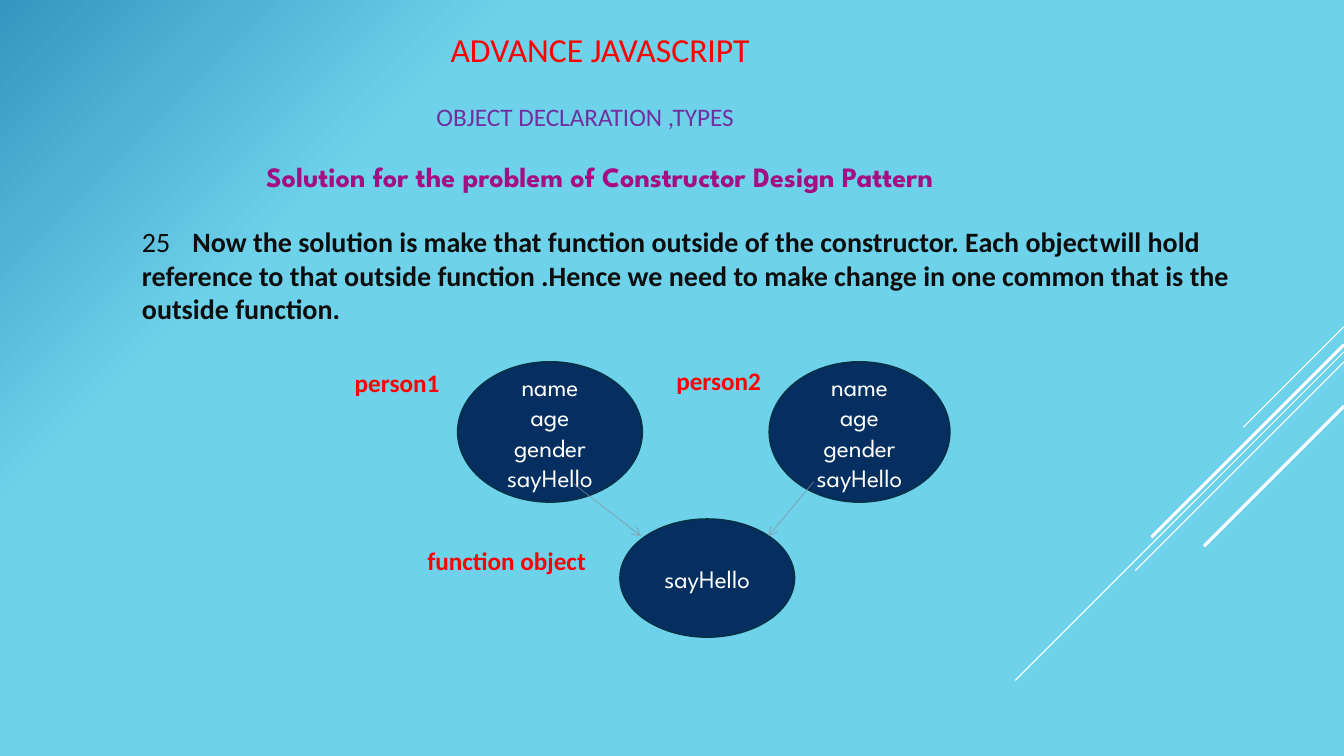
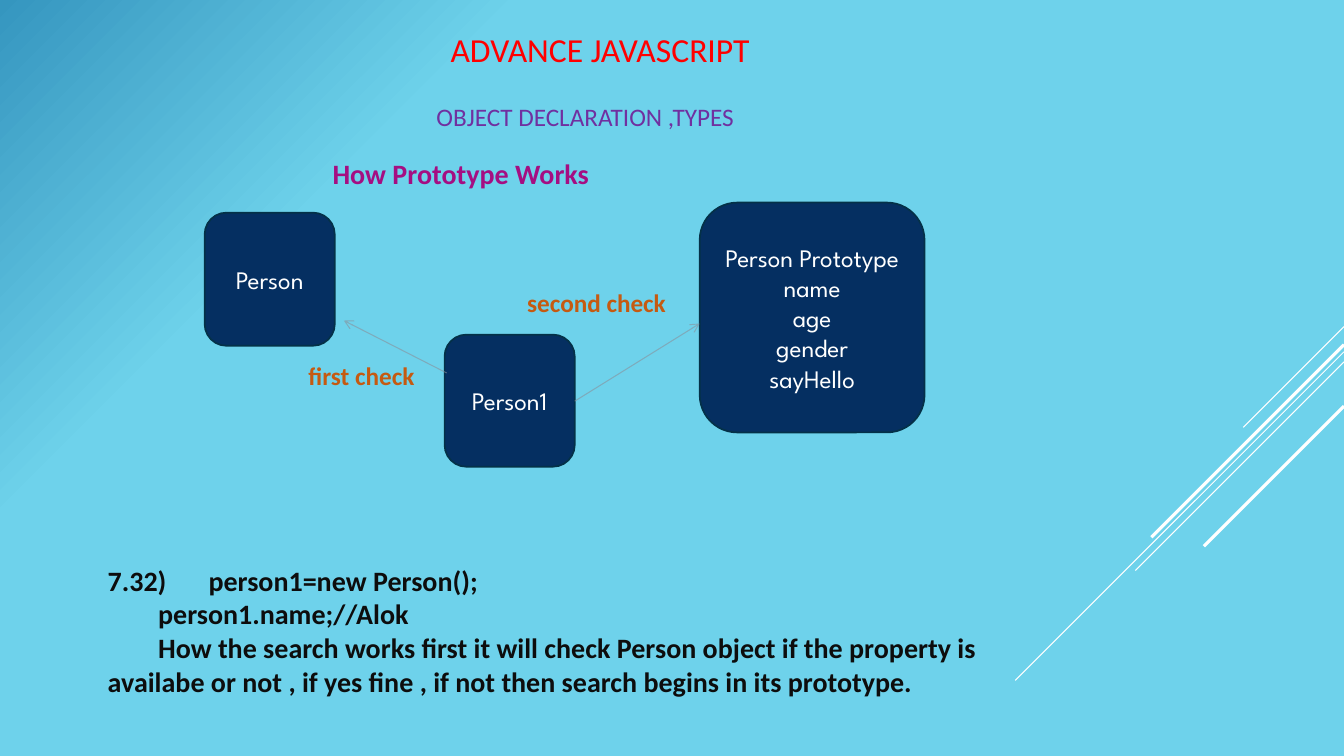
"""Build two slides on JavaScript objects: shared functions and prototypes."""
import pptx
import pptx.util
import pptx.oxml
import pptx.oxml.ns
import pptx.dml.color
import pptx.enum.shapes
import pptx.enum.text
from lxml import etree

Inches = pptx.util.Inches
Shape = pptx.enum.shapes.MSO_SHAPE
qn = pptx.oxml.ns.qn

WIDTH, HEIGHT = 13.33, 7.5
BODY_FONT, DISPLAY_FONT = "Calibri", "League Spartan"
WHITE, INK, NAVY, NAVY_EDGE = "FFFFFF", "0D0D0D", "052F61", "043148"
RED, PURPLE, MAGENTA, ORANGE, GREY = "FF0000", "7030A0", "A50E82", "C55A11", "89919C"
BACKGROUND_STOPS = [(75, "6ED2EB"), (100, "3596BF"), (100, "06588E")]
DIAGONALS = [(3.24, 1, 0.75), (3.49, 3.26, 0.75), (3.59, 2.07, 0.75),
             (3.42, 1.91, 2.25), (4.03, 1.39, 2.25)]


def color(value):
    """Return the colour for a hex string."""
    return pptx.dml.color.RGBColor.from_string(value)


def set_background(master):
    """Give the master a gradient that spreads from the lower right corner."""
    master.background.fill.gradient()
    gradient = next(master.element.iter(qn("a:gradFill")))
    for child in list(gradient):
        gradient.remove(child)
    stops = etree.SubElement(gradient, qn("a:gsLst"))
    for position, value in BACKGROUND_STOPS:
        stop = etree.SubElement(stops, qn("a:gs"), pos=str(position * 1000))
        etree.SubElement(stop, qn("a:srgbClr"), val=value)
    circle = etree.SubElement(gradient, qn("a:path"), path="circle")
    etree.SubElement(circle, qn("a:fillToRect"), l="100000", t="100000")


def format_run(run, size, value, font=BODY_FONT, bold=False):
    """Set the font of one run."""
    run.font.size = pptx.util.Pt(size)
    run.font.name = font
    run.font.bold = bold
    run.font.color.rgb = color(value)


def set_indent(paragraph, left=0, first=0):
    """Set the left margin and first-line indent in inches."""
    properties = paragraph._p.get_or_add_pPr()
    properties.set("marL", str(Inches(left)))
    properties.set("indent", str(Inches(first)))


def add_text(slide, box, text, size, value, font=BODY_FONT, bold=False, left=0):
    """Add a wrapped text box and return its text frame."""
    text_frame = slide.shapes.add_textbox(*map(Inches, box)).text_frame
    text_frame.word_wrap = True
    text_frame.auto_size = pptx.enum.text.MSO_AUTO_SIZE.SHAPE_TO_FIT_TEXT
    text_frame.text = text
    for paragraph in text_frame.paragraphs:
        set_indent(paragraph, left)
        for run in paragraph.runs:
            format_run(run, size, value, font, bold)
    return text_frame


def add_label(slide, box, text, value):
    """Add a bold diagram label."""
    add_text(slide, box, text, 18, value, bold=True)


def add_node(slide, kind, box, text):
    """Add a navy diagram node with centred text."""
    node = slide.shapes.add_shape(kind, *map(Inches, box))
    node.shadow.inherit = False
    node.fill.solid()
    node.fill.fore_color.rgb = color(NAVY)
    node.line.color.rgb = color(NAVY_EDGE)
    node.line.width = pptx.util.Pt(1.25)
    node.text_frame.text = text
    for paragraph in node.text_frame.paragraphs:
        paragraph.alignment = pptx.enum.text.PP_ALIGN.CENTER
        for run in paragraph.runs:
            format_run(run, 18, WHITE, DISPLAY_FONT)


def add_line(slide, start, end, value, width):
    """Add a straight line without a shadow."""
    line = slide.shapes.add_connector(
        pptx.enum.shapes.MSO_CONNECTOR.STRAIGHT, *map(Inches, start + end))
    line.line.color.rgb = color(value)
    line.line.width = pptx.util.Pt(width)
    etree.SubElement(line._element.spPr, qn("a:effectLst"))
    return line


def add_arrow(slide, start, end):
    """Add a translucent grey arrow."""
    outline = add_line(slide, start, end, GREY, 0.75).line._get_or_add_ln()
    etree.SubElement(next(outline.iter(qn("a:srgbClr"))), qn("a:alpha"), val="60000")
    etree.SubElement(outline, qn("a:tailEnd"), type="arrow")


def add_base_slide(presentation):
    """Add a slide with the shared titles and corner diagonals."""
    slide = presentation.slides.add_slide(presentation.slide_layouts[6])
    for top, run, width in DIAGONALS:
        add_line(slide, (WIDTH, top), (WIDTH - run, top + run), WHITE, width)
    add_text(slide, (4.37, 0.24, 3.25, 0.5), "ADVANCE JAVASCRIPT", 24, RED)
    add_text(slide, (3.73, 0.96, 3.89, 0.4), "OBJECT DECLARATION ,TYPES", 18, PURPLE, left=0.5)
    return slide


def build_solution_slide(presentation):
    """Show two objects that share one outside function."""
    slide = add_base_slide(presentation)
    add_text(slide, (1.97, 1.53, 8.18, 0.44),
             "Solution for the problem of Constructor Design Pattern",
             20, MAGENTA, DISPLAY_FONT, True, 0.57)
    text_frame = add_text(slide, (1.31, 2.18, 11.43, 1.1), "25\t", 20, INK)
    explanation = text_frame.paragraphs[0].add_run()
    explanation.text = (
        "Now the solution is make that function outside of the constructor. "
        "Each object\twill hold reference to that outside function .Hence we need "
        "to make change in one common that is the outside function.")
    format_run(explanation, 20, INK, bold=True)
    members = "name\nage\ngender\nsayHello"
    for box, text in [((4.54, 3.59, 1.83, 1.39), members),
                      ((7.63, 3.59, 1.79, 1.39), members),
                      ((6.15, 5.15, 1.73, 1.17), "sayHello")]:
        add_node(slide, Shape.OVAL, box, text)
    for box, text in [((3.42, 3.59, 1.16, 0.4), "person1"),
                      ((6.61, 3.58, 1.07, 0.4), "person2"),
                      ((4.14, 5.36, 1.98, 0.4), "function object")]:
        add_label(slide, box, text, RED)
    add_arrow(slide, (5.69, 4.8), (6.36, 5.32))
    add_arrow(slide, (8.07, 4.78), (7.62, 5.32))


def build_prototype_slide(presentation):
    """Show the order in which a property is looked up."""
    slide = add_base_slide(presentation)
    add_text(slide, (2.7, 1.5, 4.8, 0.44), "How Prototype Works", 20, MAGENTA,
             bold=True, left=0.5)
    for box, text in [
            ((6.94, 2.01, 2.23, 2.28), "Person Prototype\nname\nage\ngender\nsayHello"),
            ((2.03, 2.11, 1.29, 1.32), "Person"),
            ((4.41, 3.32, 1.29, 1.31), "Person1")]:
        add_node(slide, Shape.ROUNDED_RECTANGLE, box, text)
    text_frame = add_text(
        slide, (0.97, 5.54, 9.34, 1.44),
        "7.32)\tperson1=new Person();\nperson1.name;//Alok\n"
        "How the search works first it will check Person object if the property is "
        "availabe or not , if yes fine , if not then search begins in its prototype.",
        20, INK, bold=True)
    for paragraph in text_frame.paragraphs[1:]:
        set_indent(paragraph, first=0.5)
    add_arrow(slide, (4.43, 3.7), (3.41, 3.18))
    add_arrow(slide, (5.7, 3.98), (6.94, 3.21))
    add_label(slide, (2.96, 3.53, 1.3, 0.4), "first check", ORANGE)
    add_label(slide, (5.13, 2.8, 1.71, 0.4), "second check", ORANGE)


def main():
    """Build and save the presentation."""
    presentation = pptx.Presentation()
    presentation.slide_width = Inches(WIDTH)
    presentation.slide_height = Inches(HEIGHT)
    set_background(presentation.slide_master)
    build_solution_slide(presentation)
    build_prototype_slide(presentation)
    presentation.save("out.pptx")


main()
